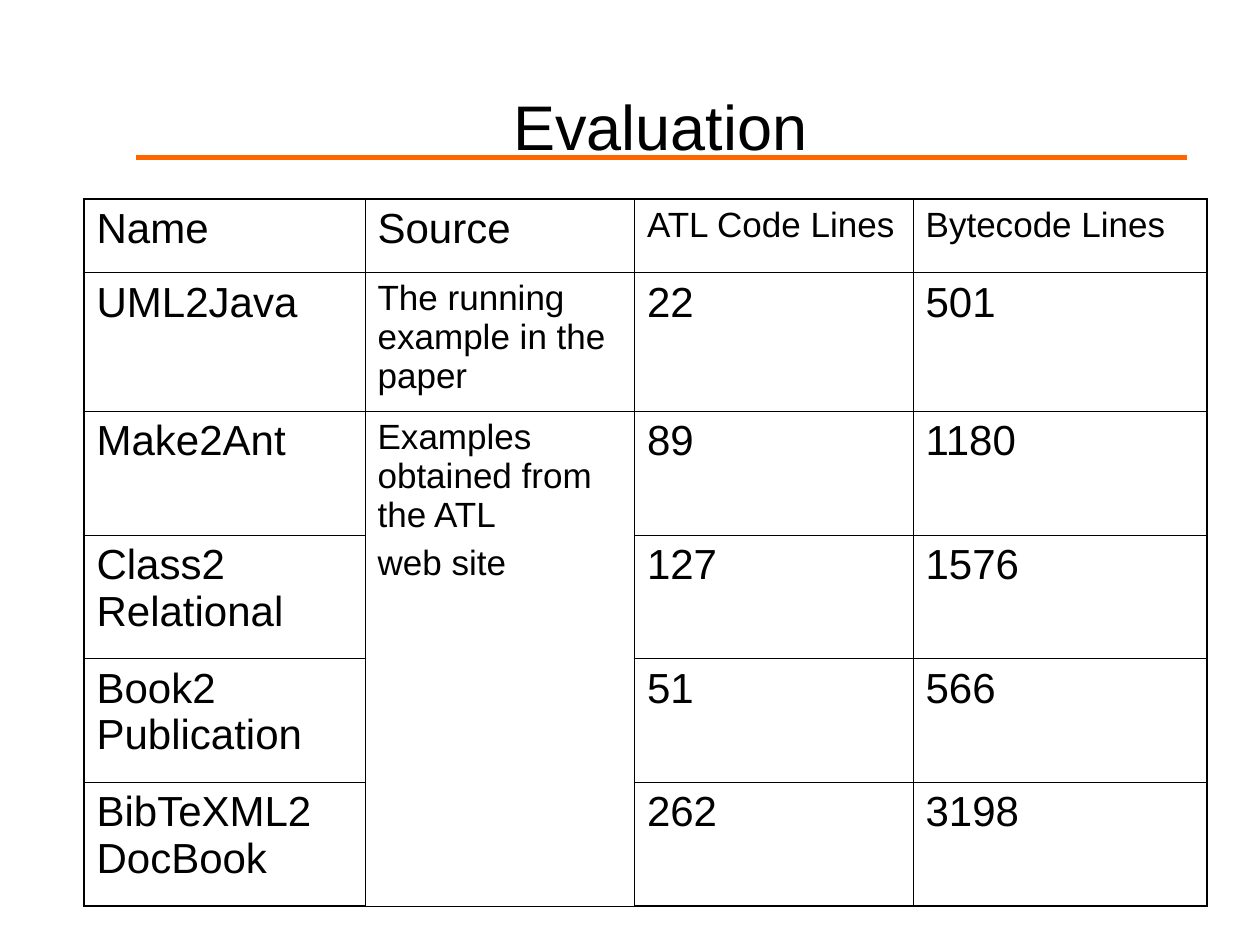
from lxml import etree
from pptx import Presentation
from pptx.dml.color import RGBColor
from pptx.enum.shapes import MSO_CONNECTOR
from pptx.enum.text import MSO_ANCHOR, PP_ALIGN
from pptx.oxml.ns import qn
from pptx.util import Pt

STRAIGHT = MSO_CONNECTOR.STRAIGHT
MIDDLE, TOP = MSO_ANCHOR.MIDDLE, MSO_ANCHOR.TOP
CENTER, LEFT = PP_ALIGN.CENTER, PP_ALIGN.LEFT

BLACK = RGBColor(0x00, 0x00, 0x00)
ORANGE = RGBColor(0xFF, 0x66, 0x00)
FONT = "Arial"
BIG, SMALL = 24, 20
THIN, THICK = 0.45, 1.08

# Content
TITLE = "Evaluation"
HEADER = ["Name", "Source", "ATL Code Lines", "Bytecode Lines"]
ROWS = [
    ["UML2Java", "The running example in the paper", "22", "501"],
    ["Make2Ant", "Examples obtained from the ATL\nweb site", "89", "1180"],
    ["Class2 Relational", "", "127", "1576"],
    ["Book2 Publication", "", "51", "566"],
    ["BibTeXML2 DocBook", "", "262", "3198"],
]
SMALL_CELLS = {(0, 2), (0, 3), (1, 1), (2, 1)}
SOURCE_MERGE = ((2, 1), (5, 1))

# Layout in points
TITLE_BOX = (65.5, 43.2, 623.5, 56.9)
RULE = (77.8, 90, 678.2, 90)
TABLE_LEFT, TABLE_TOP = 48, 113.9
COL_WIDTHS = [160.6, 154, 159.2, 167.8]
ROW_HEIGHTS = [42, 79.2] + [70.7] * 4


def add_run(p, text, size):
    r = p.add_run()
    r.text = text
    r.font.name = FONT
    r.font.size = Pt(size)
    r.font.bold = False
    r.font.color.rgb = BLACK


def set_insets(holder):
    holder.margin_left = holder.margin_right = Pt(7.2)
    holder.margin_top = holder.margin_bottom = Pt(3.6)


def set_borders(cell, widths):
    tc_pr = cell._tc.get_or_add_tcPr()
    for i, (side, width) in enumerate(widths.items()):
        ln = etree.Element(qn(f"a:ln{side}"), w=str(Pt(width)))
        fill = etree.SubElement(ln, qn("a:solidFill"))
        etree.SubElement(fill, qn("a:srgbClr"), val=str(BLACK))
        tc_pr.insert(i, ln)


prs = Presentation()
prs.slide_width, prs.slide_height = Pt(720), Pt(540)
s = prs.slides.add_slide(prs.slide_layouts[5])

# Title
title = s.shapes.title
title.left, title.top, title.width, title.height = map(Pt, TITLE_BOX)
tf = title.text_frame
tf.word_wrap = True
tf.vertical_anchor = MIDDLE
set_insets(tf)
p = tf.paragraphs[0]
p.alignment = CENTER
add_run(p, TITLE, 36)

# Orange rule, behind the title
rule = s.shapes.add_connector(STRAIGHT, *map(Pt, RULE))
rule.line.color.rgb = ORANGE
rule.line.width = Pt(2.75)
etree.SubElement(rule._element.spPr, qn("a:effectLst"))
s.shapes._spTree.insert(2, rule._element)

# Table
cells = [HEADER] + ROWS
n_rows, n_cols = len(cells), len(HEADER)
table = s.shapes.add_table(
    n_rows, n_cols, Pt(TABLE_LEFT), Pt(TABLE_TOP),
    Pt(sum(COL_WIDTHS)), Pt(sum(ROW_HEIGHTS))).table
table.first_row = table.horz_banding = False
for column, width in zip(table.columns, COL_WIDTHS):
    column.width = Pt(width)
for row, height in zip(table.rows, ROW_HEIGHTS):
    row.height = Pt(height)

for i, texts in enumerate(cells):
    for j, text in enumerate(texts):
        cell = table.cell(i, j)
        cell.fill.background()
        cell.vertical_anchor = TOP
        set_insets(cell)
        set_borders(cell, {
            "L": THICK if j == 0 else THIN,
            "R": THICK if j == n_cols - 1 else THIN,
            "T": THICK if i == 0 else THIN,
            "B": THICK if i == n_rows - 1 else THIN,
        })
        if not text:
            continue
        size = SMALL if (i, j) in SMALL_CELLS else BIG
        tf = cell.text_frame
        for k, line in enumerate(text.split("\n")):
            p = tf.add_paragraph() if k else tf.paragraphs[0]
            p.alignment = LEFT
            p.space_before = Pt(size / 4)
            add_run(p, line, size)

first, last = SOURCE_MERGE
table.cell(*first).merge(table.cell(*last))

prs.save("out.pptx")
